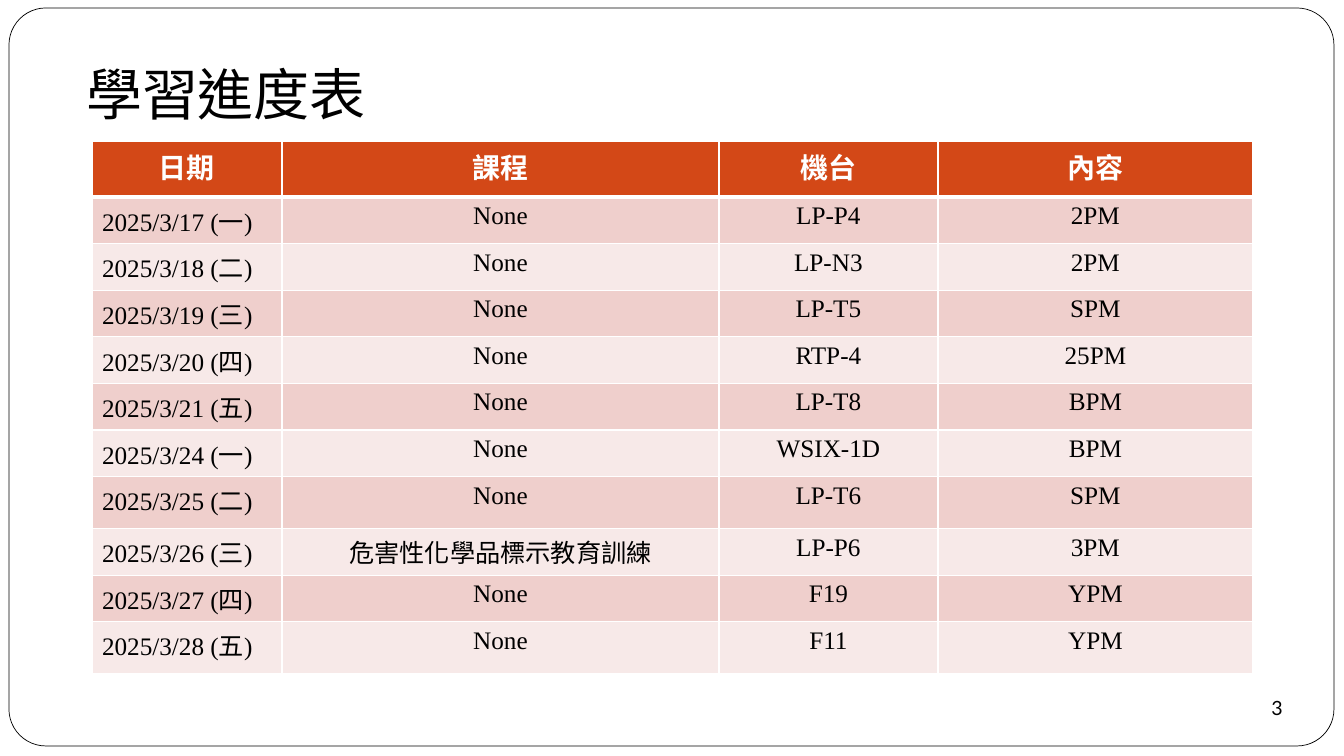
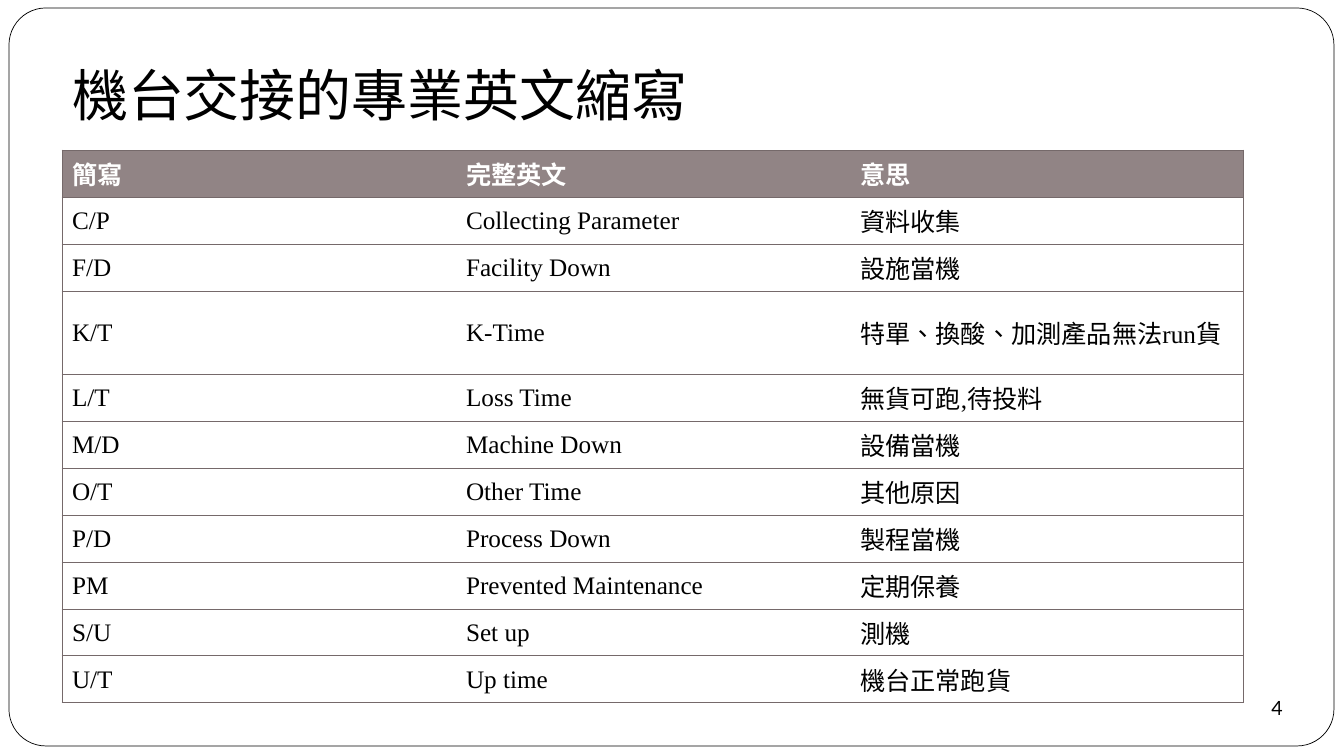
"""Build a learning schedule slide and a machine handover abbreviation slide."""
from lxml import etree
from pptx import Presentation
from pptx.dml.color import RGBColor as RGB
from pptx.enum.shapes import MSO_SHAPE as SHAPE
from pptx.enum.text import MSO_ANCHOR as ANCHOR, MSO_AUTO_SIZE as AUTO, PP_ALIGN as ALIGN
from pptx.oxml.ns import qn
from pptx.util import Pt

COLORS = {
    "black": "000000",
    "white": "FFFFFF",
    "orange": "D34817",
    "pink": "EFCFCC",
    "pale": "F7E9E8",
    "taupe": "918485",
    "rule": "75696A",
}
CJK_FONT = "Noto Sans CJK SC"
TABLE_FONT = "Times New Roman"

SCHEDULE = [
    ("日期", "課程", "機台", "內容"),
    ("2025/3/17 (一)", "None", "LP-P4", "2PM"),
    ("2025/3/18 (二)", "None", "LP-N3", "2PM"),
    ("2025/3/19 (三)", "None", "LP-T5", "SPM"),
    ("2025/3/20 (四)", "None", "RTP-4", "25PM"),
    ("2025/3/21 (五)", "None", "LP-T8", "BPM"),
    ("2025/3/24 (一)", "None", "WSIX-1D", "BPM"),
    ("2025/3/25 (二)", "None", "LP-T6", "SPM"),
    ("2025/3/26 (三)", "危害性化學品標示教育訓練", "LP-P6", "3PM"),
    ("2025/3/27 (四)", "None", "F19", "YPM"),
    ("2025/3/28 (五)", "None", "F11", "YPM"),
]
ABBREVIATIONS = [
    ("簡寫", "完整英文", "意思"),
    ("C/P", "Collecting Parameter", "資料收集"),
    ("F/D", "Facility Down", "設施當機"),
    ("K/T", "K-Time", "特單、換酸、加測產品無法run貨"),
    ("L/T", "Loss Time", "無貨可跑,待投料"),
    ("M/D", "Machine Down", "設備當機"),
    ("O/T", "Other Time", "其他原因"),
    ("P/D", "Process Down", "製程當機"),
    ("PM", "Prevented Maintenance", "定期保養"),
    ("S/U", "Set up", "測機"),
    ("U/T", "Up time", "機台正常跑貨"),
]
SLIDES = [
    {
        "title": "學習進度表", "title_box": (66, 54, 320, 78), "title_font": CJK_FONT,
        "title_align": ALIGN.CENTER, "title_anchor": ANCHOR.TOP, "number": "3",
        "rows": SCHEDULE, "at": (92, 141), "widths": (190, 437, 219, 315),
        "heights": [56] + [45] * 6 + [52, 45, 45, 52],
        "head_size": 20, "head_fill": "orange", "bands": ("pink", "pale"),
        "align": ALIGN.CENTER, "first_align": ALIGN.LEFT, "anchor": ANCHOR.TOP,
        "border": ("white", 1), "head_rule": 3, "inner_verticals": True,
    },
    {
        "title": "機台交接的專業英文縮寫", "title_box": (62, 12, 1142, 126), "title_font": "Calibri",
        "title_align": ALIGN.LEFT, "title_anchor": ANCHOR.BOTTOM, "number": "4",
        "rows": ABBREVIATIONS, "at": (62, 150), "widths": (394,) * 3,
        "heights": [47] * 11,
        "head_size": 18, "head_fill": "taupe", "bands": ("white", "white"),
        "align": ALIGN.JUSTIFY, "first_align": ALIGN.JUSTIFY, "anchor": ANCHOR.MIDDLE,
        "border": ("rule", 0.75), "head_rule": 0.75, "inner_verticals": False,
    },
]


def px(n):
    return round(n * 914400 / 100.8)


def rgb(name):
    return RGB.from_string(COLORS[name])


def style_text(p, font, size, color="black", bold=False, align=ALIGN.LEFT):
    p.alignment = align
    for r in p.runs:
        f = r.font
        f.name, f.size, f.bold = font, Pt(size), bold
        f.color.rgb = rgb(color)
        rPr = r._r.get_or_add_rPr()
        rPr.set("lang", "zh-TW")
        etree.SubElement(rPr, qn("a:ea")).set("typeface", CJK_FONT)


def add_plain_shape(s, kind, box):
    sp = s.shapes.add_shape(kind, *map(px, box))
    sp.shadow.inherit = False
    sp.fill.solid()
    sp.fill.fore_color.rgb = rgb("white")
    return sp


def add_frame(s, layout):
    sp = add_plain_shape(s, SHAPE.ROUNDED_RECTANGLE, (9, 8, 1325, 738))
    sp.adjustments[0] = 0.05
    sp.line.color.rgb = rgb("black")
    sp.line.width = Pt(0.5)
    sp.element.nvSpPr.cNvPr.set("id", "20")
    layout.shapes.element.insert(2, sp.element)


def add_title(s, d):
    sp = s.shapes.title
    sp.left, sp.top, sp.width, sp.height = map(px, d["title_box"])
    tf = sp.text_frame
    tf.text = d["title"]
    tf.auto_size = AUTO.NONE
    tf.vertical_anchor = d["title_anchor"]
    if d["title_anchor"] == ANCHOR.BOTTOM:
        tf.margin_bottom = px(10)
    style_text(tf.paragraphs[0], d["title_font"], 40, align=d["title_align"])


def add_number(s, number):
    sp = add_plain_shape(s, SHAPE.OVAL, (1243, 683, 68, 50))
    sp.line.fill.background()
    tf = sp.text_frame
    tf.text = number
    tf.word_wrap = False
    tf.vertical_anchor = ANCHOR.MIDDLE
    tf.margin_left = tf.margin_top = tf.margin_right = tf.margin_bottom = 0
    style_text(tf.paragraphs[0], "Lato", 14, align=ALIGN.CENTER)


def set_border(cell, side, color, width):
    ln = etree.SubElement(cell._tc.get_or_add_tcPr(), qn("a:ln" + side))
    ln.set("w", str(Pt(width)))
    if width:
        fill = etree.SubElement(ln, qn("a:solidFill"))
        etree.SubElement(fill, qn("a:srgbClr")).set("val", COLORS[color])
    else:
        etree.SubElement(ln, qn("a:noFill"))


def add_grid(s, d):
    rows, widths, heights = d["rows"], d["widths"], d["heights"]
    box = (*d["at"], sum(widths), sum(heights))
    table = s.shapes.add_table(len(rows), len(widths), *map(px, box)).table
    for col, w in zip(table.columns, widths):
        col.width = px(w)
    for row, h in zip(table.rows, heights):
        row.height = px(h)
    color, width = d["border"]
    inner = width if d["inner_verticals"] else 0
    for i, texts in enumerate(rows):
        head = i == 0
        for j, text in enumerate(texts):
            cell = table.cell(i, j)
            sides = {
                "L": inner if j else width,
                "R": inner if j < len(widths) - 1 else width,
                "T": d["head_rule"] if i == 1 else width,
                "B": d["head_rule"] if head else width,
            }
            for side, w in sides.items():
                set_border(cell, side, color, w)
            cell.fill.solid()
            cell.fill.fore_color.rgb = rgb(d["head_fill"] if head else d["bands"][(i - 1) % 2])
            cell.vertical_anchor = d["anchor"]
            cell.text_frame.text = text
            style_text(
                cell.text_frame.paragraphs[0], TABLE_FONT, d["head_size"] if head else 18,
                "white" if head else "black", head,
                d["align"] if head or j else d["first_align"],
            )


def main():
    prs = Presentation()
    prs.slide_width, prs.slide_height = px(1344), px(756)
    layout = prs.slide_layouts[5]
    for i, d in enumerate(SLIDES):
        s = prs.slides.add_slide(layout)
        if i == 0:
            add_frame(s, layout)
        add_title(s, d)
        add_number(s, d["number"])
        add_grid(s, d)
    prs.save("out.pptx")


if __name__ == "__main__":
    main()
